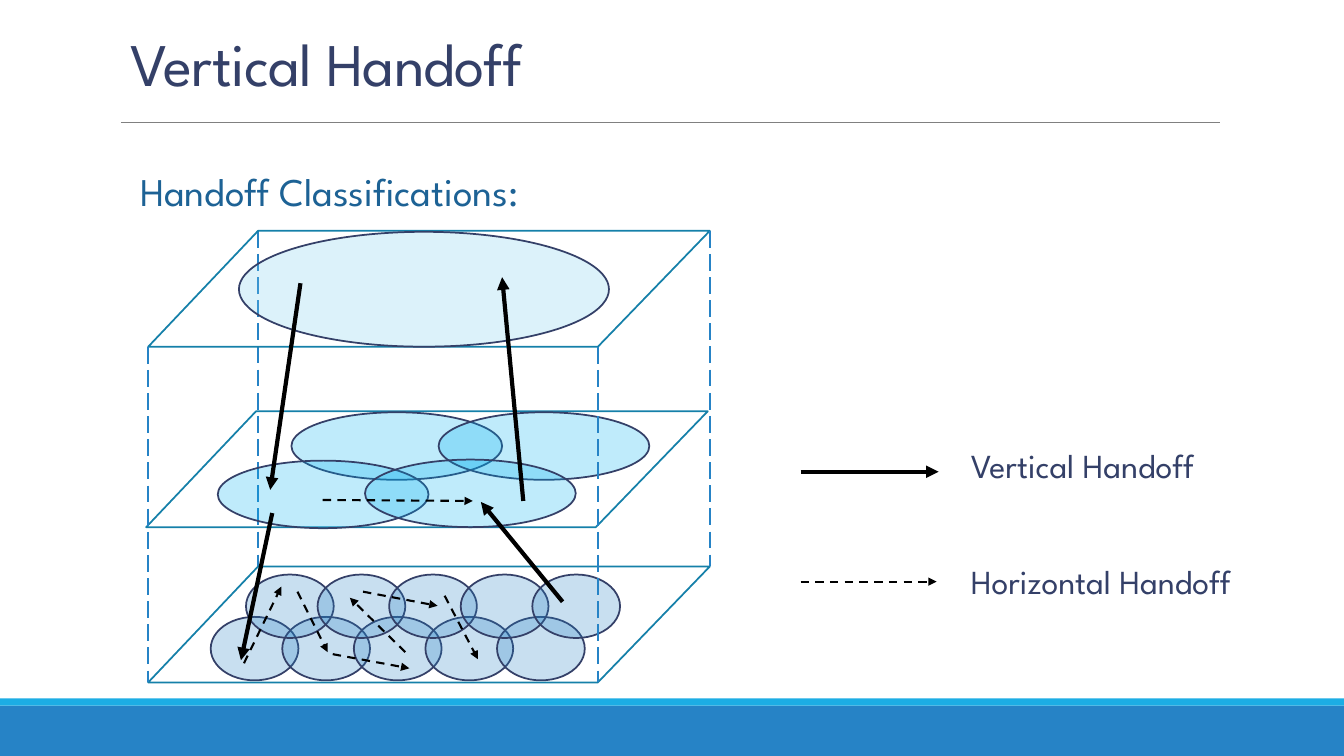
from pptx import Presentation
from pptx.util import Inches, Pt
from pptx.dml.color import RGBColor
from pptx.enum.dml import MSO_LINE
from pptx.enum.shapes import MSO_CONNECTOR, MSO_SHAPE
from pptx.enum.text import MSO_ANCHOR
from pptx.oxml.ns import qn
from lxml.etree import SubElement

FONT = "League Spartan"
COLORS = {
    "navy": "344068", "heading": "1D6295", "blue": "2683C6", "cyan": "1CADE4",
    "plane": "1580A9", "macro": "77CEEF", "micro": "00B0F0",
    "rule": "808080", "arrow": "000000",
}
BANDS = [(7, 0.5, "blue"), (6.93, 0.07, "cyan")]
PLANES = [(1.47, 2.29), (1.47, 5.62), (1.45, 4.08)]
PLANE_DEPTH, PLANE_HEIGHT = 1.09, 1.15
PLANE_BACK, PLANE_FRONT = 4.48, 4.46
PICO_ROWS = [(2.09, 6.12), (2.44, 5.7)]
PICO_COUNT, PICO_STEP, PICO_SIZE = 5, 0.71, (0.87, 0.63)
MICRO_CELLS = [(2.89, 4.09), (4.35, 4.09), (2.16, 4.57), (3.62, 4.56)]
MICRO_SIZE = (2.09, 0.67)
MACRO_CELL = (2.37, 2.3, 3.67, 1.14)
BACK_EDGE = (2.56, 2.29, 2.56, 5.62)
FRONT_EDGES = [(1.47, 3.44, 1.47, 6.77), (5.93, 3.44, 5.93, 6.77), (7.04, 2.29, 7.04, 5.62)]
HORIZONTAL = [
    (2.42, 6.58, 2.79, 5.82), (2.95, 5.87, 3.25, 6.47), (3.3, 6.49, 4.06, 6.63),
    (4.02, 6.47, 3.47, 5.93), (3.6, 5.87, 4.34, 6.01), (4.41, 5.91, 4.74, 6.54),
    (3.2, 4.96, 4.69, 4.97), (7.94, 5.77, 9.29, 5.77),
]
VERTICAL = [
    (5.58, 5.97, 4.77, 4.98), (5.19, 4.97, 4.98, 2.75), (2.98, 2.81, 2.68, 4.86),
    (2.7, 5.09, 2.39, 6.55), (7.94, 4.68, 9.31, 4.68),
]
LEGEND = [("Vertical Handoff", 4.36, 2.92), ("Horizontal Handoff", 5.52, 3.35)]


def rgb(name):
    return RGBColor.from_string(COLORS[name])


def add_line(s, ends, color, width, dash=None, arrow=False):
    sp = s.shapes.add_connector(MSO_CONNECTOR.STRAIGHT, *map(Inches, ends))
    sp.line.color.rgb = rgb(color)
    sp.line.width = Pt(width)
    if dash:
        sp.line.dash_style = dash
    if arrow:
        SubElement(sp.line._get_or_add_ln(), qn("a:tailEnd"), type="triangle")
    SubElement(sp._element.spPr, qn("a:effectLst"))


def add_band(s, top, height, color):
    sp = s.shapes.add_shape(MSO_SHAPE.RECTANGLE, 0, Inches(top), Inches(13.33), Inches(height))
    sp.shadow.inherit = False
    sp.fill.solid()
    sp.fill.fore_color.rgb = rgb(color)
    sp.line.fill.background()


def add_cell(s, x, y, w, h, color):
    sp = s.shapes.add_shape(MSO_SHAPE.OVAL, *map(Inches, (x, y, w, h)))
    sp.shadow.inherit = False
    sp.fill.solid()
    sp.fill.fore_color.rgb = rgb(color)
    fill = sp._element.spPr.find(qn("a:solidFill"))
    SubElement(fill[0], qn("a:alpha"), val="25000")
    sp.line.color.rgb = rgb("navy")
    sp.line.width = Pt(1.25)


def add_plane(s, x, y):
    front, back = y + PLANE_HEIGHT, x + PLANE_DEPTH
    corners = [(back, y), (back + PLANE_BACK, y), (x + PLANE_FRONT, front)]
    ff = s.shapes.build_freeform(Inches(x), Inches(front))
    ff.add_line_segments([(Inches(a), Inches(b)) for a, b in corners], close=True)
    sp = ff.convert_to_shape()
    sp.shadow.inherit = False
    sp.fill.background()
    sp.line.color.rgb = rgb("plane")
    sp.line.width = Pt(1.25)


def add_text(s, text, box, size, color):
    tf = s.shapes.add_textbox(*map(Inches, box)).text_frame
    tf.word_wrap = True
    p = tf.paragraphs[0]
    r = p.add_run()
    r.text = text
    r.font.name, r.font.size = FONT, Pt(size)
    r.font.color.rgb = rgb(color)
    return tf, p, r


def main():
    """Build the vertical handoff slide."""
    prs = Presentation()
    prs.slide_width, prs.slide_height = Inches(13.33), Inches(7.5)
    s = prs.slides.add_slide(prs.slide_layouts[6])

    for band in BANDS:
        add_band(s, *band)
    add_line(s, (1.2, 1.21, 12.1, 1.21), "rule", 0.5)

    tf, p, r = add_text(s, "Vertical Handoff", (1.2, 0.25, 11.68, 0.78), 43.2, "navy")
    tf.vertical_anchor = MSO_ANCHOR.BOTTOM
    p.line_spacing = 0.85
    r._r.get_or_add_rPr().set("spc", "-50")

    tf, p, r = add_text(s, "Handoff Classifications:", (1.2, 1.38, 11, 1.11), 28, "heading")
    tf.margin_left = tf.margin_right = 0
    p.line_spacing = 1.5
    p._p.get_or_add_pPr().set("marL", str(Inches(0.19)))

    add_line(s, BACK_EDGE, "blue", 1.5, MSO_LINE.LONG_DASH)
    for x, y in PICO_ROWS:
        for i in range(PICO_COUNT):
            add_cell(s, x + i * PICO_STEP, y, *PICO_SIZE, "blue")
    for x, y in PLANES:
        add_plane(s, x, y)
    add_cell(s, *MACRO_CELL, "macro")
    for x, y in MICRO_CELLS:
        add_cell(s, x, y, *MICRO_SIZE, "micro")
    for ends in FRONT_EDGES:
        add_line(s, ends, "blue", 1.5, MSO_LINE.LONG_DASH)

    for ends in HORIZONTAL:
        add_line(s, ends, "arrow", 1.5, MSO_LINE.DASH, arrow=True)
    for ends in VERTICAL:
        add_line(s, ends, "arrow", 3, arrow=True)
    for text, top, width in LEGEND:
        add_text(s, text, (9.53, top, width, 0.5), 24, "navy")

    prs.save("out.pptx")


if __name__ == "__main__":
    main()
